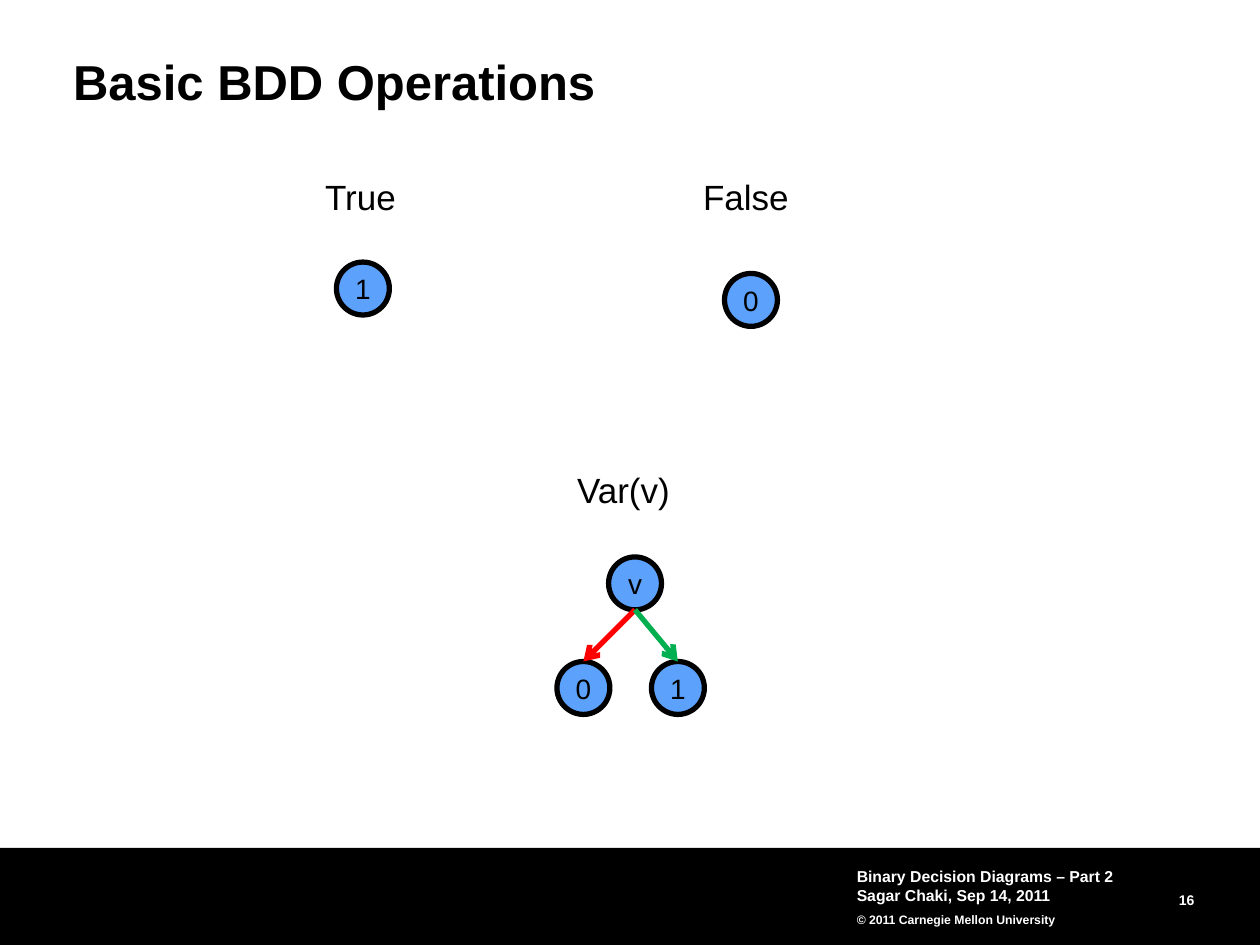
import pptx
import pptx.dml.color
import pptx.enum.shapes
import pptx.enum.text
import pptx.oxml.ns
import pptx.util
from lxml import etree
from pptx.util import Inches

COLORS = {
    "black": "000000",
    "white": "FFFFFF",
    "node": "5CA1FB",
    "low": "FF0000",
    "high": "00B050",
}
NODE_SIZE = 0.42
ALIGN = pptx.enum.text.PP_ALIGN
ANCHOR = pptx.enum.text.MSO_ANCHOR
SHAPES = pptx.enum.shapes.MSO_SHAPE


def color(name):
    """Return the named colour."""
    return pptx.dml.color.RGBColor.from_string(COLORS[name])


def set_text(shape, text, size, color_name="black", bold=False, anchor=ANCHOR.TOP,
             align=ALIGN.LEFT, inset=0, wrap=True, spacing=None):
    """Write and format the text of a shape."""
    frame = shape.text_frame
    frame.text = text
    frame.word_wrap = wrap
    frame.vertical_anchor = anchor
    frame.margin_left = frame.margin_right = Inches(inset)
    frame.margin_top = frame.margin_bottom = Inches(inset)
    for paragraph in frame.paragraphs:
        paragraph.alignment = align
        paragraph.line_spacing = spacing
        for run in paragraph.runs:
            run.font.name = "Arial"
            run.font.size = pptx.util.Pt(size)
            run.font.bold = bold
            run.font.color.rgb = color(color_name)


def add_text(slide, text, left, top, width, height, size, **style):
    """Add a text box."""
    box = slide.shapes.add_textbox(Inches(left), Inches(top), Inches(width), Inches(height))
    set_text(box, text, size, **style)
    return box


def add_title(slide, text):
    """Place and format the title placeholder."""
    title = slide.shapes.title
    title.left, title.top = Inches(0.58), Inches(0.46)
    title.width, title.height = Inches(8.92), Inches(0.42)
    set_text(title, text, 28, bold=True, spacing=0.9)


def add_footer(slide):
    """Add the black band with the talk details and page number."""
    band = slide.shapes.add_shape(SHAPES.RECTANGLE, 0, Inches(6.73), Inches(10), Inches(0.77))
    band.shadow.inherit = False
    band.fill.solid()
    band.fill.fore_color.rgb = color("black")
    band.line.fill.background()
    style = {"color_name": "white", "bold": True, "anchor": ANCHOR.MIDDLE}
    add_text(slide, "16", 8.56, 7.03, 0.92, 0.18, 8, align=ALIGN.RIGHT,
             spacing=pptx.util.Pt(13), **style)
    details = add_text(
        slide,
        "Binary Decision Diagrams – Part 2\nSagar Chaki, Sep 14, 2011\n"
        "© 2011 Carnegie Mellon University",
        6.75, 6.83, 2.5, 0.58, 9, inset=0.05, **style)
    copyright_line = details.text_frame.paragraphs[-1]
    copyright_line.line_spacing = 1.5
    copyright_line.runs[0].font.size = pptx.util.Pt(7)


def add_node(shapes, text, left, top):
    """Add a round diagram node."""
    node = shapes.add_shape(SHAPES.OVAL, Inches(left), Inches(top),
                            Inches(NODE_SIZE), Inches(NODE_SIZE))
    node.shadow.inherit = False
    node.fill.solid()
    node.fill.fore_color.rgb = color("node")
    node.line.color.rgb = color("black")
    node.line.width = pptx.util.Pt(3)
    set_text(node, text, 16, anchor=ANCHOR.MIDDLE, align=ALIGN.CENTER, wrap=False)
    return node


def add_edge(shapes, parent, child, color_name):
    """Add an arrow from the bottom of one node to the top of another."""
    edge = shapes.add_connector(
        pptx.enum.shapes.MSO_CONNECTOR.STRAIGHT,
        parent.left + parent.width // 2, parent.top + parent.height,
        child.left + child.width // 2, child.top)
    edge.line.color.rgb = color(color_name)
    edge.line.width = pptx.util.Pt(3)
    line = edge.line._get_or_add_ln()
    etree.SubElement(line, pptx.oxml.ns.qn("a:tailEnd"), type="arrow")
    etree.SubElement(edge._element.spPr, pptx.oxml.ns.qn("a:effectLst"))


def add_variable_diagram(slide):
    """Add the grouped decision diagram of a single variable."""
    shapes = slide.shapes.add_group_shape().shapes
    high = add_node(shapes, "1", 5.17, 5.25)
    low = add_node(shapes, "0", 4.42, 5.25)
    variable = add_node(shapes, "v", 4.83, 4.42)
    add_edge(shapes, variable, low, "low")
    add_edge(shapes, variable, high, "high")


def main():
    """Build the slide and save it."""
    presentation = pptx.Presentation()
    presentation.slide_width, presentation.slide_height = Inches(10), Inches(7.5)
    slide = presentation.slides.add_slide(presentation.slide_layouts[5])
    add_footer(slide)
    add_title(slide, "Basic BDD Operations")
    for text, left, top in (("True", 2.58, 1.42), ("False", 5.58, 1.42), ("Var(v)", 4.58, 3.74)):
        add_text(slide, text, left, top, 1, 0.31, 20, spacing=0.95)
    add_node(slide.shapes, "1", 2.67, 2.08)
    add_node(slide.shapes, "0", 5.75, 2.17)
    add_variable_diagram(slide)
    presentation.save("out.pptx")


if __name__ == "__main__":
    main()
